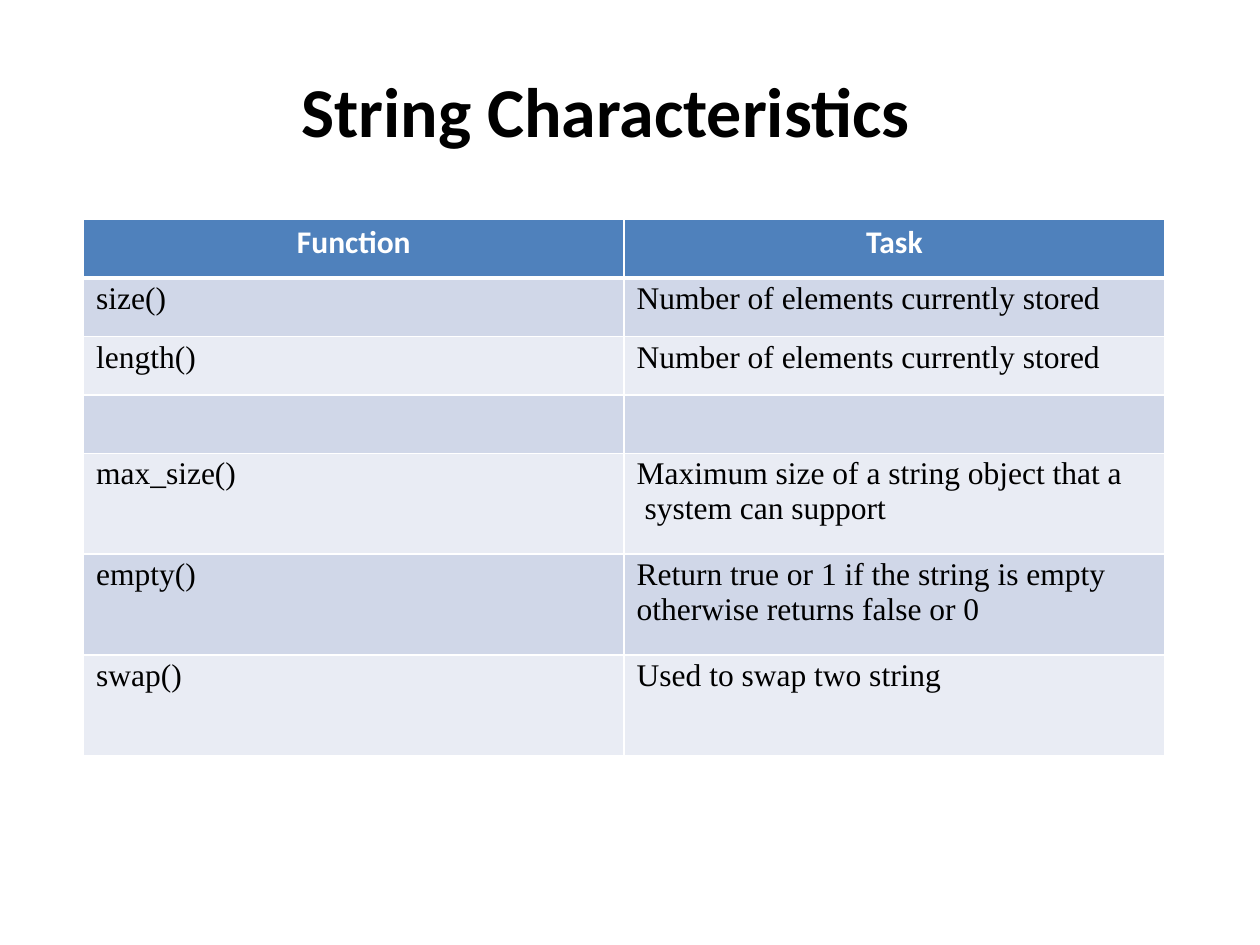
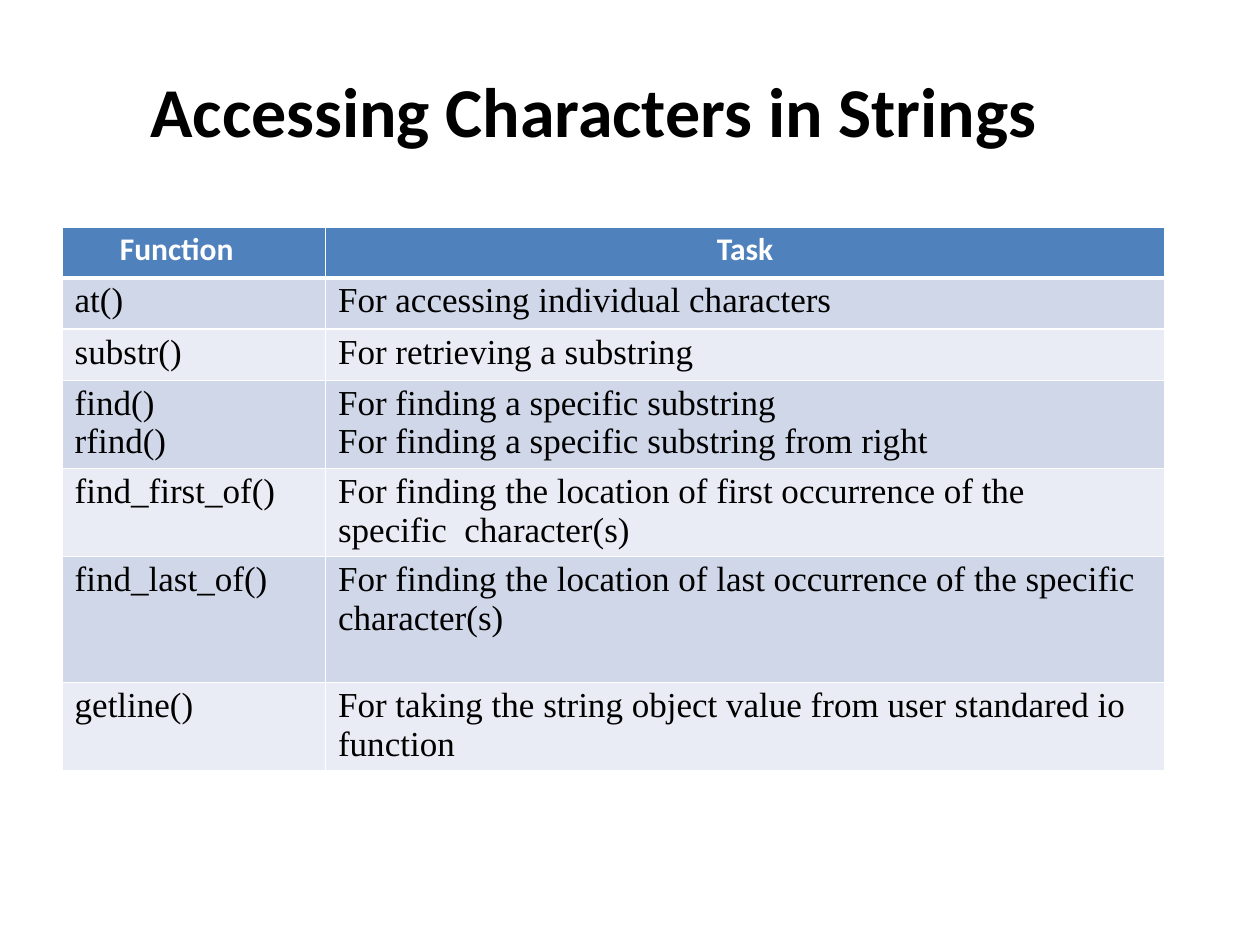
from lxml.etree import SubElement
from pptx import Presentation
from pptx.dml.color import RGBColor
from pptx.enum.text import MSO_ANCHOR, MSO_AUTO_SIZE, PP_ALIGN
from pptx.oxml.ns import qn
from pptx.util import Pt

BLACK = RGBColor(0x00, 0x00, 0x00)
WHITE = RGBColor(0xFF, 0xFF, 0xFF)
HEADER_BLUE = RGBColor(0x4F, 0x81, 0xBC)
BAND_DARK = RGBColor(0xD0, 0xD7, 0xE8)
BAND_LIGHT = RGBColor(0xE9, 0xEC, 0xF4)
HEADING_FONT = "Calibri"
BODY_FONT = "Times New Roman"
HEADER = ("Function", "Task")
CELL_INDENT = 7.2

CHARACTERISTICS = [
    ("size()", "Number of elements currently stored"),
    ("length()", "Number of elements currently stored"),
    ("", ""),
    ("max_size()", "Maximum size of a string object that a\n system can support"),
    ("empty()", "Return true or 1 if the string is empty otherwise returns false or 0"),
    ("swap()", "Used to swap two string"),
]
ACCESSORS = [
    ("at()", "For accessing individual characters"),
    ("substr()", "For retrieving a substring"),
    ("find()\nrfind()",
     "For finding a specific substring\nFor finding a specific substring from right"),
    ("find_first_of()",
     "For finding the location of first occurrence of the\nspecific  character(s)"),
    ("find_last_of()",
     "For finding the location of last occurrence of the specific\ncharacter(s)"),
    ("getline()",
     "For taking the string object value from user standared io function"),
]


def write_text(frame, text, font_name, size, color, bold, align):
    """Write each line of text as one formatted paragraph."""
    for index, line in enumerate(text.split("\n")):
        paragraph = frame.paragraphs[0] if index == 0 else frame.add_paragraph()
        paragraph.alignment = align
        run = paragraph.add_run()
        run.text = line
        run.font.name = font_name
        run.font.size = Pt(size)
        run.font.bold = bold
        run.font.color.rgb = color


def add_title(slide, text, box):
    """Place the slide's title placeholder in the given box."""
    title = slide.shapes.title
    title.left, title.top, title.width, title.height = map(Pt, box)
    frame = title.text_frame
    frame.auto_size = MSO_AUTO_SIZE.NONE
    frame.word_wrap = True
    frame.vertical_anchor = MSO_ANCHOR.TOP
    frame.margin_left = Pt(1)
    frame.margin_top = Pt(1.8)
    frame.margin_right = frame.margin_bottom = 0
    write_text(frame, text, HEADING_FONT, 40, BLACK, True, PP_ALIGN.LEFT)


def set_borders(cell, top, bottom):
    """Draw white cell borders with the given top and bottom widths."""
    properties = cell._tc.get_or_add_tcPr()
    for tag, width in (("a:lnL", 1), ("a:lnR", 1), ("a:lnT", top), ("a:lnB", bottom)):
        line = SubElement(properties, qn(tag), w=str(Pt(width)))
        fill = SubElement(line, qn("a:solidFill"))
        SubElement(fill, qn("a:srgbClr"), val=str(WHITE))


def format_cell(cell, fill, indent):
    """Set the margins and fill of a cell."""
    cell.margin_left = Pt(indent)
    cell.margin_top = Pt(2)
    cell.margin_right = cell.margin_bottom = 0
    cell.fill.solid()
    cell.fill.fore_color.rgb = fill


def add_function_table(slide, rows, left, top, widths, heights, size, header_indent):
    """Add a banded function table; a header indent left-aligns its first label."""
    frame = slide.shapes.add_table(len(rows) + 1, len(HEADER), Pt(left), Pt(top),
                                   Pt(sum(widths)), Pt(sum(heights)))
    table = frame.table
    table.horz_banding = False
    for column, width in zip(table.columns, widths):
        column.width = Pt(width)
    for row, height in zip(table.rows, heights):
        row.height = Pt(height)
    for row_index, texts in enumerate([HEADER, *rows]):
        is_header = row_index == 0
        for column_index, text in enumerate(texts):
            cell = table.cell(row_index, column_index)
            set_borders(cell, 3 if row_index == 1 else 1, 3 if is_header else 1)
            if is_header:
                indent = header_indent if column_index == 0 else 0
                align = PP_ALIGN.LEFT if indent else PP_ALIGN.CENTER
                format_cell(cell, HEADER_BLUE, indent)
                write_text(cell.text_frame, text, HEADING_FONT, 18, WHITE, True, align)
            else:
                format_cell(cell, BAND_DARK if row_index % 2 else BAND_LIGHT, CELL_INDENT)
                if text:
                    write_text(cell.text_frame, text, BODY_FONT, size, BLACK, False,
                               PP_ALIGN.LEFT)


def add_table_slide(presentation, title, title_box, **table):
    """Add a slide with a title above a function table."""
    slide = presentation.slides.add_slide(presentation.slide_layouts[5])
    add_title(slide, title, title_box)
    add_function_table(slide, **table)


def main():
    """Build and save the presentation."""
    presentation = Presentation()
    presentation.slide_width, presentation.slide_height = Pt(720), Pt(540)
    add_table_slide(presentation, "String Characteristics", (171.4, 36.7, 377.3, 49.7),
                    rows=CHARACTERISTICS, left=47.75, top=125.5, widths=[308.9] * 2,
                    heights=[33.4] * 4 + [57.6] * 3, size=18, header_indent=0)
    add_table_slide(presentation, "Accessing Characters in Strings",
                    (85, 36.7, 550, 49.7),
                    rows=ACCESSORS, left=35.5, top=129.75, widths=[150.5, 479.5],
                    heights=[29.2] * 3 + [50.4] * 2 + [72, 50.4], size=20,
                    header_indent=33)
    presentation.save("out.pptx")


if __name__ == "__main__":
    main()
